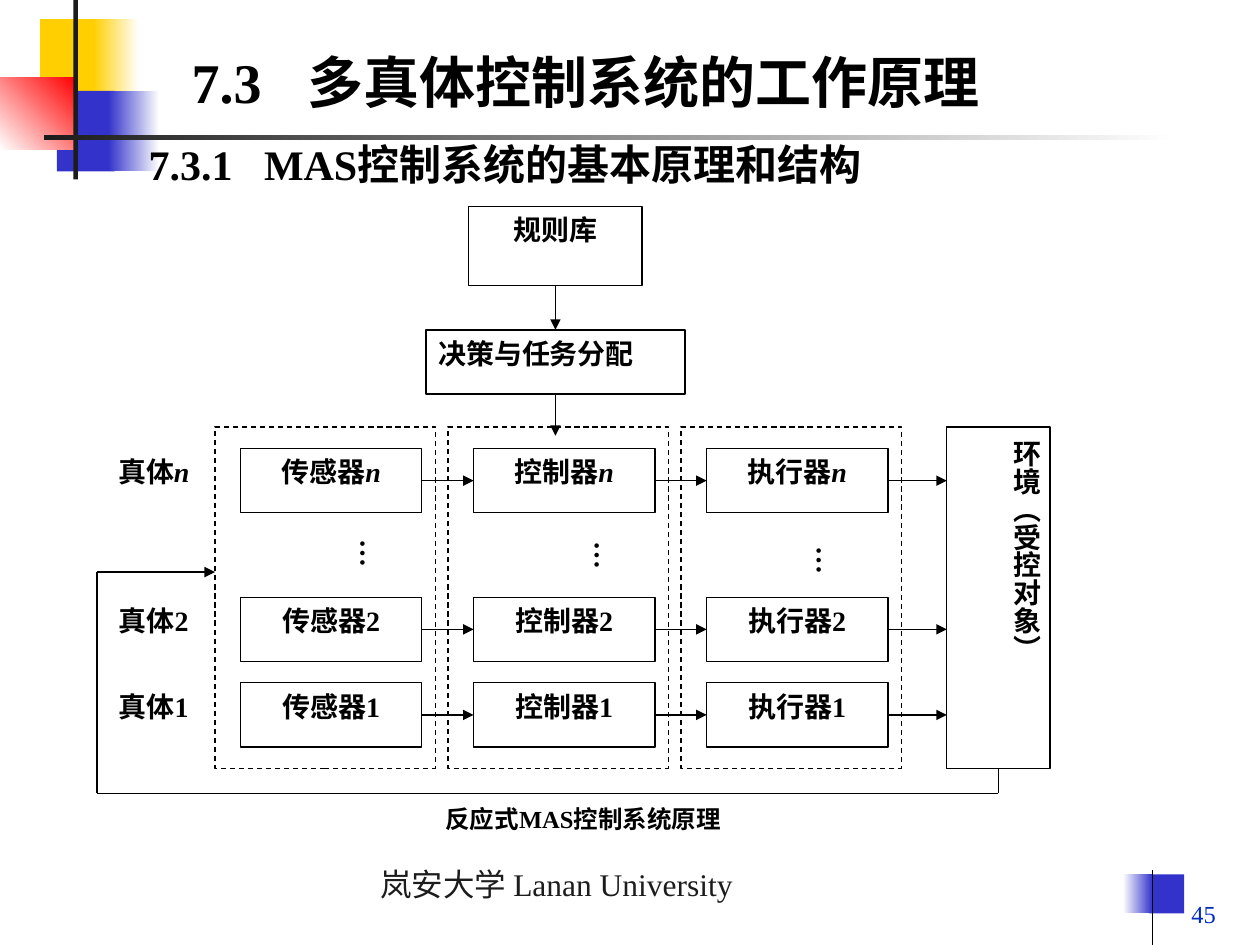
import pptx
import pptx.dml.color
import pptx.enum.dml
import pptx.enum.shapes
import pptx.enum.text
import pptx.oxml
import pptx.oxml.ns
import pptx.util

Pt = pptx.util.Pt
ALIGN = pptx.enum.text.PP_ALIGN
ANCHOR = pptx.enum.text.MSO_ANCHOR
RECTANGLE = pptx.enum.shapes.MSO_SHAPE.RECTANGLE
STRAIGHT = pptx.enum.shapes.MSO_CONNECTOR.STRAIGHT
DASH = pptx.enum.dml.MSO_LINE.DASH

LATIN, CHINESE = "Times New Roman", "Noto Sans CJK SC"
BLACK, WHITE, DARK, BLUE, YELLOW = "000000", "FFFFFF", "1C1C1C", "3333CC", "FFCF01"
TOP, LEFT, BOTTOM, RIGHT = range(4)


def color(value):
    return pptx.dml.color.RGBColor.from_string(value)


def add_xml(parent, tag, **attributes):
    child = pptx.oxml.parse_xml(f"<a:{tag} {pptx.oxml.ns.nsdecls('a')}/>")
    for name, value in attributes.items():
        child.set(name, str(value))
    parent.append(child)
    return child


def write(frame, text, size=16, bold=True, fill=BLACK, align=ALIGN.LEFT,
          anchor=ANCHOR.TOP, variable="", vertical=False, wrap=True, tab=None):
    """Fill a text frame; variable is an italic symbol after the text."""
    frame.word_wrap = wrap
    frame.auto_size = pptx.enum.text.MSO_AUTO_SIZE.NONE
    frame.vertical_anchor = anchor
    across, down = (3.6, 7.2) if vertical else (7.2, 3.6)
    frame.margin_left = frame.margin_right = Pt(across)
    frame.margin_top = frame.margin_bottom = Pt(down)
    if vertical:
        frame._txBody.bodyPr.set("vert", "eaVert")
    para = frame.paragraphs[0]
    para.alignment = align
    if tab:
        stops = add_xml(para._p.get_or_add_pPr(), "tabLst")
        add_xml(stops, "tab", pos=Pt(tab), algn="l")
    for part in filter(None, (text, variable)):
        span = para.add_run()
        span.text = part
        span.font.size = Pt(size)
        span.font.bold = bold
        span.font.italic = part == variable
        span.font.color.rgb = color(fill)
        span.font.name = LATIN
        add_xml(span._r.get_or_add_rPr(), "ea", typeface=CHINESE)


def add_label(page, box, text, **style):
    label = page.shapes.add_textbox(*map(Pt, box))
    write(label.text_frame, text, **style)


def add_box(page, box, fill=WHITE, fade=None, angle=0, line=None, dash=None):
    shape = page.shapes.add_shape(RECTANGLE, *map(Pt, box))
    shape.shadow.inherit = False
    if fade:
        shape.fill.gradient()
        shape.fill.gradient_angle = angle
        for stop, value in zip(shape.fill.gradient_stops, (fill, fade)):
            stop.color.rgb = color(value)
    else:
        shape.fill.solid()
        shape.fill.fore_color.rgb = color(fill)
    if line:
        shape.line.color.rgb = color(line)
        shape.line.width = Pt(0.75)
        shape.line.dash_style = dash
    else:
        shape.line.fill.background()
    return shape


def add_line(page, start, end, source=None, target=None, arrow=False):
    """Draw a line; source and target are (shape, side) pairs to join."""
    line = page.shapes.add_connector(STRAIGHT, *map(Pt, (*start, *end)))
    if source:
        line.begin_connect(*source)
    if target:
        line.end_connect(*target)
    line.line.color.rgb = color(BLACK)
    line.line.width = Pt(0.75)
    properties = line._element.spPr
    if arrow:
        add_xml(properties.find(pptx.oxml.ns.qn("a:ln")), "tailEnd", type="triangle")
    add_xml(properties, "effectLst")


def draw_ornament(page, box):
    left, top, width, _ = box
    for x, y, w, h, fill, fade, angle in (
        (23, 11, 34.5, 46, YELLOW, None, 0),
        (53.3, 11, 26, 46, YELLOW, WHITE, 0),
        (32.5, 52, 33, 46, BLUE, None, 0),
        (62, 52, 29, 46, BLUE, WHITE, 0),
        (0, 44.5, 44, 41, WHITE, "FF0000", 45),
        (42, 0, 2.5, 102.5, DARK, None, 0),
        (25, 77, width, 3, DARK, WHITE, 0),
    ):
        add_box(page, (left + x, top + y, w, h), fill, fade, angle)


def draw_headings(page, box):
    left, top, width, height = box
    title = page.shapes.title
    title.left, title.top, title.width, title.height = map(Pt, (left + 24.5, top, 502, 45))
    write(title.text_frame, "7.3\t多真体控制系统的工作原理", size=32, tab=66)
    add_label(page, (left, top + height - 36, width, 36),
              "7.3.1\tMAS控制系统的基本原理和结构", size=24, tab=66)


def draw_diagram(page, box):
    left, top, width, height = box
    box_w, box_h = 103.7, 36.7
    frames_top, frames_h = top + 126, 195
    middle = left + 262

    # Rule base and task allocation
    rules = add_box(page, (middle - 49.5, top, 99, 45), line=BLACK)
    write(rules.text_frame, "规则库", align=ALIGN.CENTER)
    tasks = add_box(page, (middle - 74, top + 70.5, 148, box_h), line=BLACK)
    write(tasks.text_frame, "决策与任务分配", align=ALIGN.JUSTIFY)

    # Environment
    env_left = left + width - 59
    environment = add_box(page, (env_left, frames_top, 59, frames_h), line=BLACK)
    write(environment.text_frame, "环境（受控对象）", align=ALIGN.CENTER, vertical=True)

    # Dashed stage frames and their ellipses
    stages = ("传感器", "控制器", "执行器")
    frame_lefts = [left + 67.4 + 133.2 * index for index in range(len(stages))]
    for x, dots_x, dots_y in zip(frame_lefts, (111.3, 245.2, 372), (183, 184.4, 187.3)):
        add_box(page, (x, frames_top, 126, frames_h), line=BLACK, dash=DASH)
        add_label(page, (left + dots_x, top + dots_y, 59, box_h), "…",
                  align=ALIGN.JUSTIFY, vertical=True)

    # One row per agent: label, three boxes and the arrows between them
    for number, variable, offset in (("", "n", 138.3), ("2", "", 223.3), ("1", "", 272.2)):
        y = top + offset
        style = {"align": ALIGN.CENTER, "variable": variable}
        add_label(page, (left - 11.8, y, 88.6, box_h), "真体" + number, **style)
        row = []
        for stage, x in zip(stages, frame_lefts):
            row.append(add_box(page, (x + 14.6, y, box_w, box_h), line=BLACK))
            write(row[-1].text_frame, stage + number, **style)
        for source, target in zip(row, row[1:]):
            add_line(page, (0, 0), (0, 0), (source, RIGHT), (target, LEFT), arrow=True)
        end = (env_left, y + box_h / 2)
        add_line(page, end, end, source=(row[-1], RIGHT), arrow=True)

    # Downward arrows
    add_line(page, (0, 0), (0, 0), (rules, BOTTOM), (tasks, TOP), arrow=True)
    end = (middle, top + 131)
    add_line(page, end, end, source=(tasks, BOTTOM), arrow=True)

    # Feedback from the environment to the sensors
    low, entry, out = top + 335.4, top + 208.9, env_left + 29.5
    add_line(page, (out, low), (out, low), source=(environment, BOTTOM))
    add_line(page, (out, low), (left, low))
    add_line(page, (left, low), (left, entry))
    add_line(page, (left, entry), (frame_lefts[0], entry), arrow=True)

    # Caption
    add_label(page, (left + 192, top + height - 41, 175.7, 41),
              "反应式MAS控制系统原理", size=14)


def draw_footer(page, box):
    left, top, width, height = box
    add_label(page, (left, top, 220, 29), "岚安大学 Lanan University",
              size=18, bold=False, fill=DARK, wrap=False)
    add_box(page, (left + 446.5, top + 8.7, 20, 22.3), BLUE)
    add_box(page, (left + 431.5, top + 8.7, 17, 22.3), WHITE, BLUE)
    line_x = left + 448.6
    add_line(page, (line_x, top + 6), (line_x, top + height))
    add_label(page, (left + width - 150, top + 5.8, 150, 37.4), "45", size=14,
              bold=False, fill="022EBA", align=ALIGN.RIGHT, anchor=ANCHOR.BOTTOM)


def main():
    deck = pptx.Presentation()
    deck.slide_width, deck.slide_height = Pt(720), Pt(540)
    page = deck.slides.add_slide(deck.slide_layouts.get_by_name("Title Only"))
    draw_ornament(page, (0, 0, 648, 102.5))
    draw_headings(page, (77.8, 23.8, 525.6, 87.8))
    draw_diagram(page, (55.4, 118, 544.6, 379))
    draw_footer(page, (210.2, 491, 491.8, 49))
    deck.save("out.pptx")


if __name__ == "__main__":
    main()
